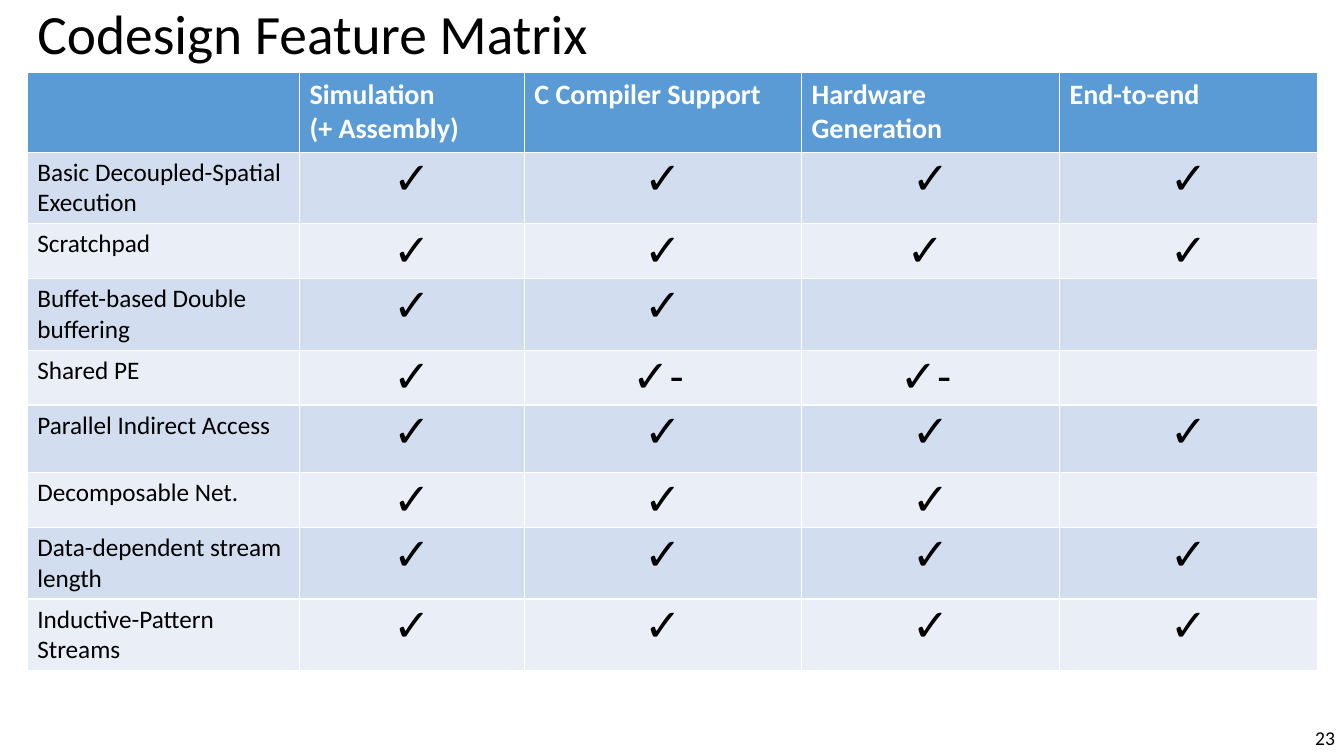
from pptx import Presentation
from pptx.dml.color import RGBColor
from pptx.enum.text import MSO_ANCHOR, PP_ALIGN
from pptx.util import Inches, Pt

FONT = "Calibri"
BLACK, WHITE = "000000", "FFFFFF"
HEADER_BLUE = "5B9BD5"
BANDS = ("D2DEEF", "EAEFF7")
YES, PARTIAL = "✓", "✓- "

COLUMN_WIDTHS = (2.7, 2.23, 2.75, 2.56, 2.56)
ROW_HEIGHTS = (0.79, 0.67, 0.53, 0.53, 0.53, 0.67, 0.53, 0.53, 0.67)
HEADINGS = ("", "Simulation\n(+ Assembly)", "C Compiler Support",
            "Hardware Generation", "End-to-end")
FEATURES = (
    ("Basic Decoupled-Spatial Execution", YES, YES, YES, YES),
    ("Scratchpad", YES, YES, "✓ ", YES),
    ("Buffet-based Double buffering", YES, YES, "", ""),
    ("Shared PE", YES, PARTIAL, PARTIAL, ""),
    ("Parallel Indirect Access", YES, YES, YES, YES),
    ("Decomposable Net.", YES, YES, YES, ""),
    ("Data-dependent stream length", YES, YES, YES, YES),
    ("Inductive-Pattern Streams", YES, YES, YES, YES),
)


def rgb(value):
    return RGBColor.from_string(value)


def style_text(frame, size, color=BLACK, bold=False, align=PP_ALIGN.LEFT):
    for paragraph in frame.paragraphs:
        paragraph.alignment = align
        font = paragraph.font
        font.name, font.size, font.bold = FONT, Pt(size), bold
        font.color.rgb = rgb(color)


def add_title(slide, text):
    title = slide.shapes.title
    title.left, title.top = Inches(0.27), Inches(0)
    title.width, title.height = Inches(12.14), Inches(0.72)
    frame = title.text_frame
    frame.text = text
    frame.vertical_anchor = MSO_ANCHOR.MIDDLE
    frame.paragraphs[0].line_spacing = 0.9
    style_text(frame, 39.6)


def fill_cell(cell, text, fill):
    cell.fill.solid()
    cell.fill.fore_color.rgb = rgb(fill)
    cell.text = text


def add_feature_matrix(slide):
    matrix = slide.shapes.add_table(
        len(ROW_HEIGHTS), len(COLUMN_WIDTHS), Inches(0.27), Inches(0.72),
        Inches(sum(COLUMN_WIDTHS)), Inches(sum(ROW_HEIGHTS))).table
    for column, width in zip(matrix.columns, COLUMN_WIDTHS):
        column.width = Inches(width)
    for row, height in zip(matrix.rows, ROW_HEIGHTS):
        row.height = Inches(height)

    for col, heading in enumerate(HEADINGS):
        cell = matrix.cell(0, col)
        fill_cell(cell, heading, HEADER_BLUE)
        style_text(cell.text_frame, 20, WHITE, bold=True)

    for row, feature in enumerate(FEATURES, start=1):
        for col, text in enumerate(feature):
            cell = matrix.cell(row, col)
            fill_cell(cell, text, BANDS[(row - 1) % 2])
            if col and text:
                cell.margin_top = cell.margin_bottom = Inches(0)
                style_text(cell.text_frame, 32, align=PP_ALIGN.CENTER)
            else:
                style_text(cell.text_frame, 18)


def add_page_number(slide, number):
    box = slide.shapes.add_textbox(Inches(12.64), Inches(7.15), Inches(0.7), Inches(0.34))
    frame = box.text_frame
    frame.word_wrap = True
    frame.text = number
    style_text(frame, 14, align=PP_ALIGN.RIGHT)


def main():
    prs = Presentation()
    prs.slide_width, prs.slide_height = Inches(13.33), Inches(7.5)
    slide = prs.slides.add_slide(prs.slide_layouts.get_by_name("Title Only"))
    add_title(slide, "Codesign Feature Matrix")
    add_feature_matrix(slide)
    add_page_number(slide, "23")
    prs.save("out.pptx")


if __name__ == "__main__":
    main()
